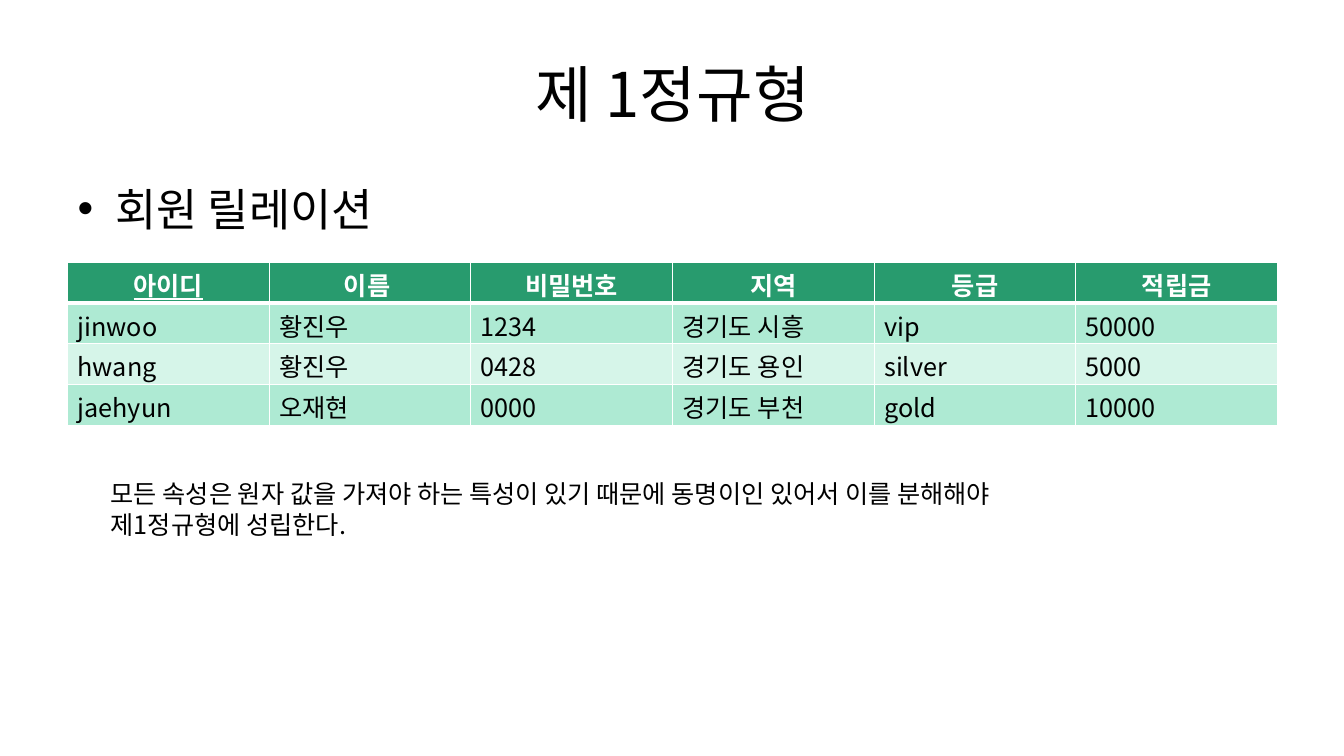
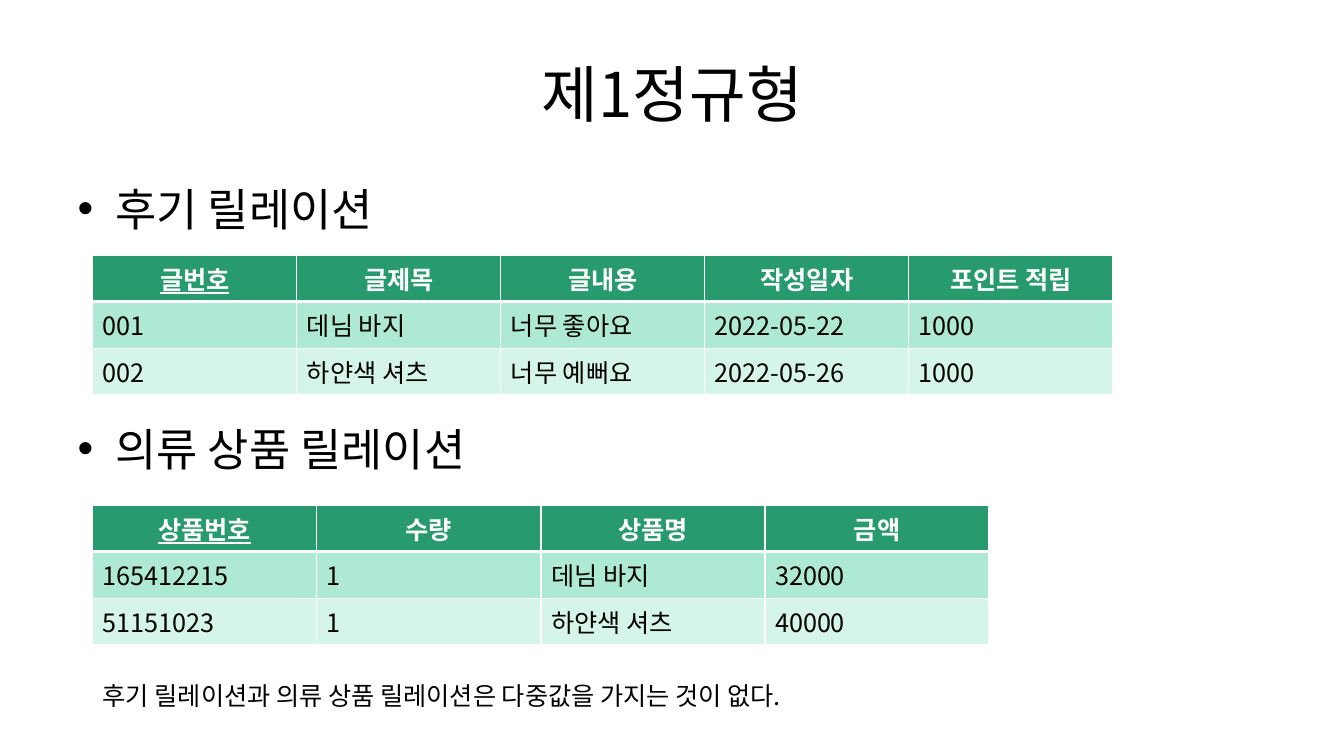
from dataclasses import dataclass

import pptx
import pptx.dml.color
import pptx.enum.text
import pptx.oxml.ns
import pptx.util
from lxml import etree

Inches = pptx.util.Inches
Pt = pptx.util.Pt
Align = pptx.enum.text.PP_ALIGN
Anchor = pptx.enum.text.MSO_ANCHOR
qn = pptx.oxml.ns.qn

FONT = "Noto Sans CJK KR"
BLACK, WHITE = "000000", "FFFFFF"
HEADER_GREEN = "289B6E"
ROW_GREENS = ("AEEAD3", "D6F5E9")
TITLE_SIZE, BULLET_SIZE, TEXT_SIZE = 44, 32, 18


@dataclass(frozen=True)
class Box:
    left: float
    top: float
    width: float
    height: float


@dataclass(frozen=True)
class Relation:
    """A database relation; its first attribute is the key."""
    box: Box
    attributes: tuple[str, ...]
    records: tuple[tuple[str, ...], ...]
    margin_top: float = 0.05
    margin_bottom: float = 0.05


@dataclass(frozen=True)
class Page:
    title: str
    bullets: tuple[str, ...]
    relations: tuple[Relation, ...]
    note: str
    note_box: Box
    bullet_gap: float = 0


TITLE_BOX = Box(0.67, 0.3, 12, 1.25)
BODY_BOX = Box(0.67, 1.75, 12, 4.95)

PAGES = (
    Page(
        "제 1정규형",
        ("회원 릴레이션",),
        (
            Relation(
                Box(0.67, 2.6, 12, 1.62),
                ("아이디", "이름 ", "비밀번호", "지역", "등급", "적립금"),
                (
                    ("jinwoo", "황진우", "1234", "경기도 시흥", "vip", "50000"),
                    ("hwang", "황진우", "0428", "경기도 용인", "silver", "5000"),
                    ("jaehyun", "오재현", "0000", "경기도 부천", "gold", "10000"),
                ),
                margin_top=0.04,
                margin_bottom=0,
            ),
        ),
        "모든 속성은 원자 값을 가져야 하는 특성이 있기 때문에 동명이인 있어서 "
        "이를 분해해야 제1정규형에 성립한다.",
        Box(1, 4.7, 9.15, 0.69),
    ),
    Page(
        "제1정규형",
        ("후기 릴레이션", "의류 상품 릴레이션"),
        (
            Relation(
                Box(0.92, 2.53, 10.12, 1.22),
                ("글번호", "글제목", "글내용", "작성일자", "포인트 적립"),
                (
                    ("001", "데님 바지", "너무 좋아요", "2022-05-22", "1000"),
                    ("002", "하얀색 셔츠", "너무 예뻐요", "2022-05-26", "1000"),
                ),
            ),
            Relation(
                Box(0.92, 5.01, 8.89, 1.22),
                ("상품번호", "수량", "상품명", "금액"),
                (
                    ("165412215", "1", "데님 바지", "32000"),
                    ("51151023", "1", "하얀색 셔츠", "40000"),
                ),
            ),
        ),
        "후기 릴레이션과 의류 상품 릴레이션은 다중값을 가지는 것이 없다.",
        Box(0.92, 6.7, 11.34, 0.39),
        bullet_gap=133,
    ),
)


def rgb(color: str) -> pptx.dml.color.RGBColor:
    return pptx.dml.color.RGBColor.from_string(color)


def place(shape, box: Box) -> None:
    shape.left, shape.top = Inches(box.left), Inches(box.top)
    shape.width, shape.height = Inches(box.width), Inches(box.height)


def format_runs(text_frame, size: float, color: str = BLACK, bold: bool = False,
                underline: bool = False) -> None:
    for paragraph in text_frame.paragraphs:
        for run in paragraph.runs:
            font = run.font
            font.name, font.size = FONT, Pt(size)
            font.bold, font.underline = bold, underline
            font.color.rgb = rgb(color)
            latin = run._r.rPr.find(qn("a:latin"))
            east_asian = etree.Element(qn("a:ea"), typeface=FONT)
            latin.addnext(east_asian)


def add_borders(cell, bottom: float, top: float) -> None:
    """Draw white cell borders; call before the fill, which must follow them."""
    properties = cell._tc.get_or_add_tcPr()
    for side, width in (("L", 1), ("R", 1), ("T", top), ("B", bottom)):
        line = etree.SubElement(properties, qn(f"a:ln{side}"), w=str(Pt(width)))
        fill = etree.SubElement(line, qn("a:solidFill"))
        etree.SubElement(fill, qn("a:srgbClr"), val=WHITE)


def add_relation(slide, relation: Relation) -> None:
    box = relation.box
    rows = (relation.attributes, *relation.records)
    table = slide.shapes.add_table(
        len(rows), len(relation.attributes),
        Inches(box.left), Inches(box.top), Inches(box.width), Inches(box.height),
    ).table
    for row_index, values in enumerate(rows):
        is_header = row_index == 0
        for column_index, value in enumerate(values):
            cell = table.cell(row_index, column_index)
            cell.margin_top = Inches(relation.margin_top)
            cell.margin_bottom = Inches(relation.margin_bottom)
            add_borders(cell, bottom=3 if is_header else 1,
                        top=3 if row_index == 1 else 1)
            cell.fill.solid()
            cell.fill.fore_color.rgb = rgb(
                HEADER_GREEN if is_header else ROW_GREENS[(row_index - 1) % 2])
            cell.text_frame.text = value
            cell.text_frame.paragraphs[0].alignment = (
                Align.CENTER if is_header else Align.LEFT)
            format_runs(cell.text_frame, TEXT_SIZE,
                        WHITE if is_header else BLACK, bold=is_header,
                        underline=is_header and column_index == 0)


def add_note(slide, text: str, box: Box) -> None:
    note = slide.shapes.add_textbox(
        Inches(box.left), Inches(box.top), Inches(box.width), Inches(box.height))
    note.text_frame.word_wrap = True
    note.text_frame.text = text
    format_runs(note.text_frame, TEXT_SIZE)


def add_page(presentation, page: Page) -> None:
    slide = presentation.slides.add_slide(presentation.slide_layouts[1])
    title, body = slide.shapes.title, slide.placeholders[1]

    place(title, TITLE_BOX)
    title.text_frame.text = page.title
    title.text_frame.vertical_anchor = Anchor.MIDDLE
    title.text_frame.paragraphs[0].alignment = Align.CENTER
    format_runs(title.text_frame, TITLE_SIZE)

    place(body, BODY_BOX)
    body.text_frame.text = "\n".join(page.bullets)
    body.text_frame.auto_size = pptx.enum.text.MSO_AUTO_SIZE.NONE
    for paragraph in body.text_frame.paragraphs[1:]:
        paragraph.space_before = Pt(page.bullet_gap)
    format_runs(body.text_frame, BULLET_SIZE)

    for relation in page.relations:
        add_relation(slide, relation)
    add_note(slide, page.note, page.note_box)


def main() -> None:
    presentation = pptx.Presentation()
    presentation.slide_width = Inches(13.33)
    presentation.slide_height = Inches(7.5)
    for page in PAGES:
        add_page(presentation, page)
    presentation.save("out.pptx")


if __name__ == "__main__":
    main()
